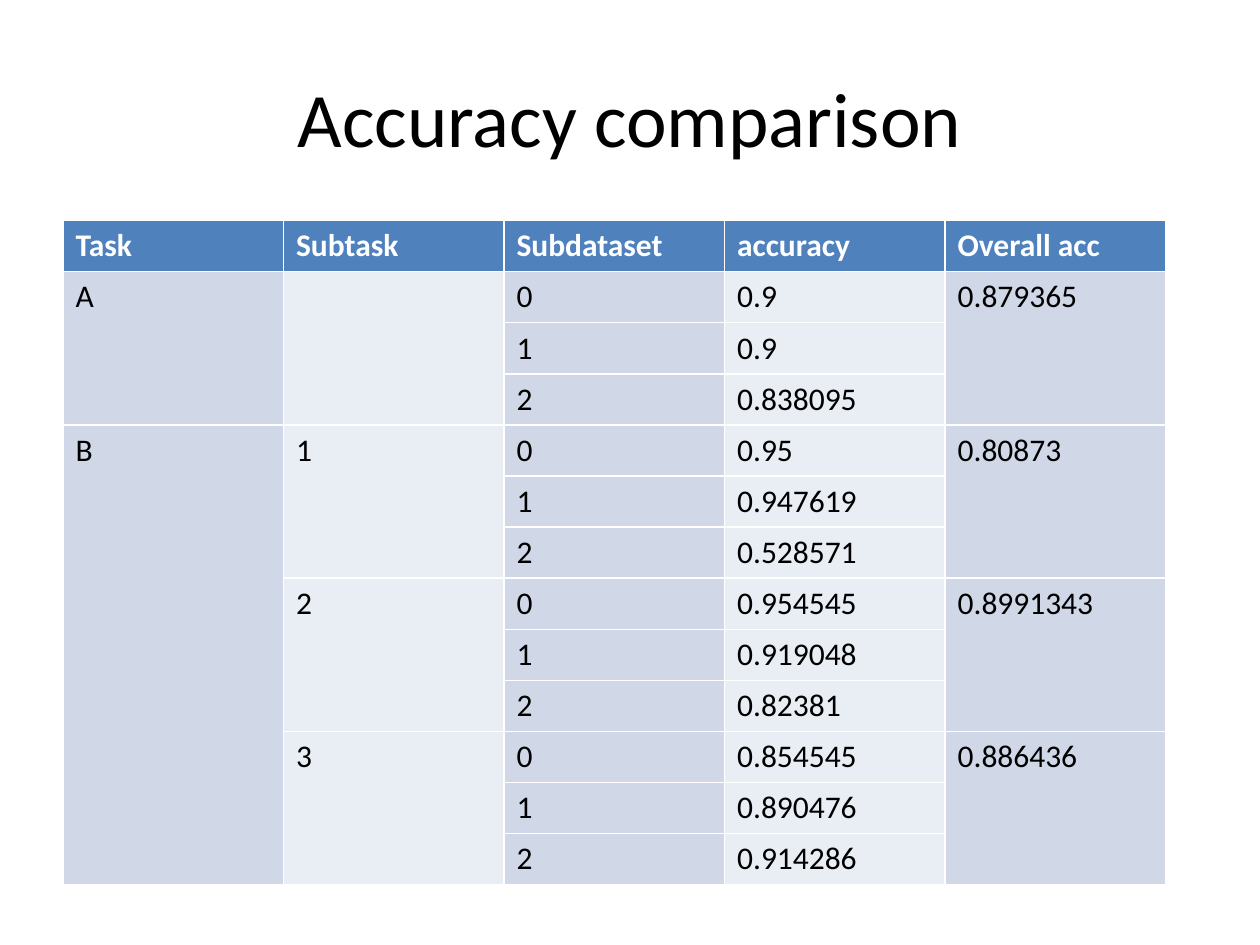
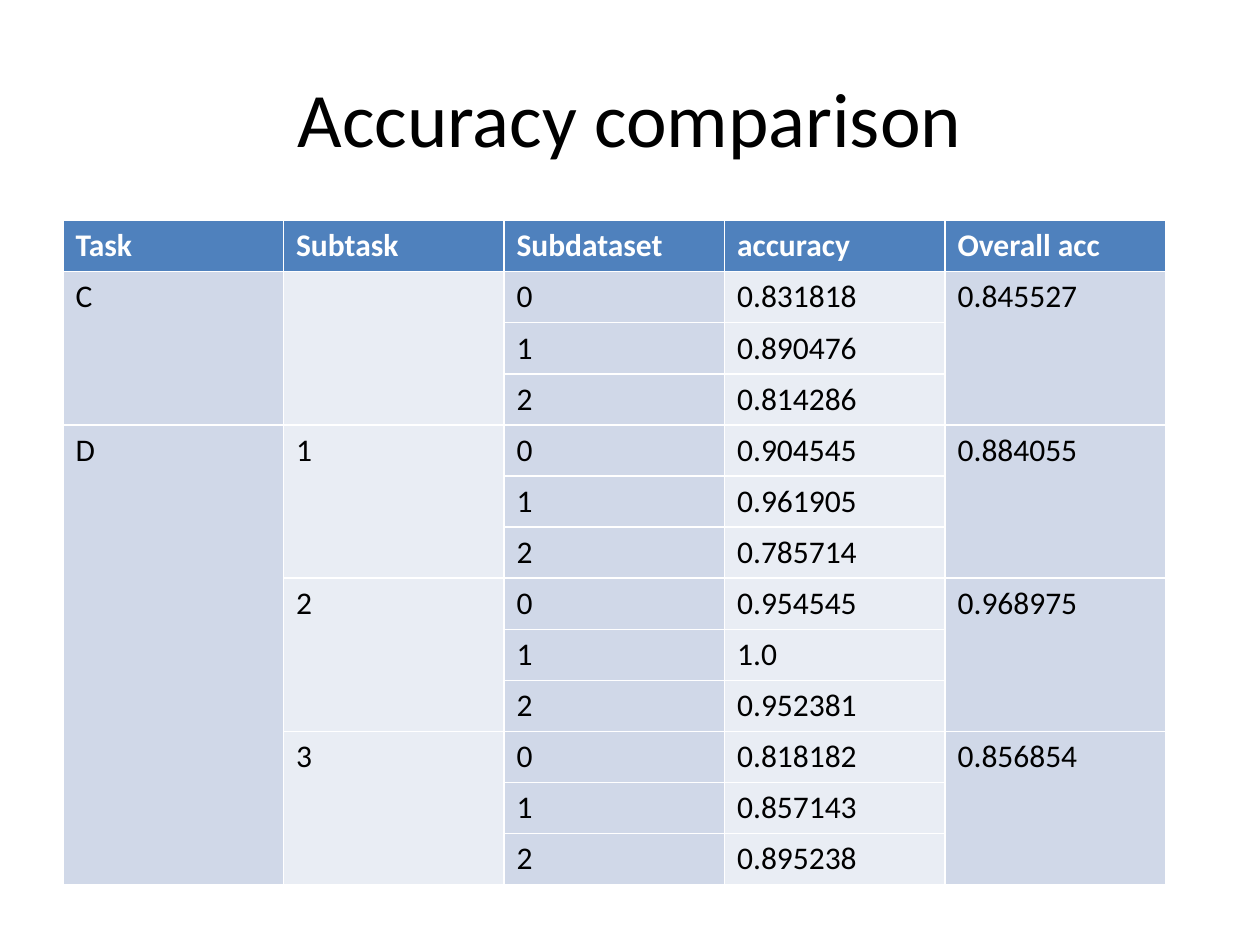
from pptx import Presentation
from pptx.dml.color import RGBColor
from pptx.enum.text import MSO_ANCHOR, PP_ALIGN
from pptx.util import Inches, Pt

FONT = "Calibri"
BLACK, WHITE, BLUE = "000000", "FFFFFF", "4F81BD"
BANDS = ("D0D8E8", "E9EDF4")
HEADS = ("Task", "Subtask", "Subdataset", "accuracy", "Overall acc")
GROUP = 3
TITLE_BOX = (0.5, 0.3, 9, 1.25)
TABLE_BOX = (0.5, 1.75, 8.75, 5.21)

SLIDES = (
    (("A", "", ("0.9", "0.9", "0.838095"), "0.879365"),
     ("B", "1", ("0.95", "0.947619", "0.528571"), "0.80873"),
     ("", "2", ("0.954545", "0.919048", "0.82381"), "0.8991343"),
     ("", "3", ("0.854545", "0.890476", "0.914286"), "0.886436")),
    (("C", "", ("0.831818", "0.890476", "0.814286"), "0.845527"),
     ("D", "1", ("0.904545", "0.961905", "0.785714"), "0.884055"),
     ("", "2", ("0.954545", "1.0", "0.952381"), "0.968975"),
     ("", "3", ("0.818182", "0.857143", "0.895238"), "0.856854")),
)


def color(code):
    """Turn a hex string into a colour."""
    return RGBColor.from_string(code)


def style(frame, size, code, bold=False):
    """Format every run of a text frame."""
    for para in frame.paragraphs:
        for run in para.runs:
            font = run.font
            font.name, font.size, font.bold = FONT, Pt(size), bold
            font.color.rgb = color(code)


def add_title(slide, box, text):
    """Fill and place the title placeholder."""
    title = slide.shapes.title
    title.left, title.top, title.width, title.height = map(Inches, box)
    frame = title.text_frame
    frame.text = text
    frame.vertical_anchor = MSO_ANCHOR.MIDDLE
    frame.paragraphs[0].alignment = PP_ALIGN.CENTER
    style(frame, 44, BLACK)


def fill_cell(cell, text, fill, code=BLACK, bold=False):
    """Set the text and fill of one cell."""
    cell.text = text
    cell.fill.solid()
    cell.fill.fore_color.rgb = color(fill)
    style(cell.text_frame, 18, code, bold)


def list_rows(groups):
    """Spread each group over one row per subdataset."""
    rows = []
    for task, sub, scores, total in groups:
        for num, score in enumerate(scores):
            first = num == 0
            rows.append((task if first else "", sub if first else "",
                         str(num), score, total if first else ""))
    return rows


def add_scores(slide, box, groups):
    """Draw the accuracy table with merged group cells."""
    rows = list_rows(groups)
    count = len(rows) + 1
    grid = slide.shapes.add_table(count, len(HEADS), *map(Inches, box)).table
    grid.horz_banding = False
    for col, head in enumerate(HEADS):
        fill_cell(grid.cell(0, col), head, BLUE, WHITE, True)
        for row, texts in enumerate(rows, 1):
            fill_cell(grid.cell(row, col), texts[col], BANDS[col % 2])
    for top in range(1, count, GROUP):
        for col in (1, 4):
            grid.cell(top, col).merge(grid.cell(top + GROUP - 1, col))
    grid.cell(1, 0).merge(grid.cell(GROUP, 0))
    grid.cell(GROUP + 1, 0).merge(grid.cell(count - 1, 0))


def main():
    """Build and save the deck."""
    deck = Presentation()
    deck.slide_width, deck.slide_height = Inches(10), Inches(7.5)
    for groups in SLIDES:
        slide = deck.slides.add_slide(deck.slide_layouts[5])
        add_title(slide, TITLE_BOX, "Accuracy comparison")
        add_scores(slide, TABLE_BOX, groups)
    deck.save("out.pptx")


main()
